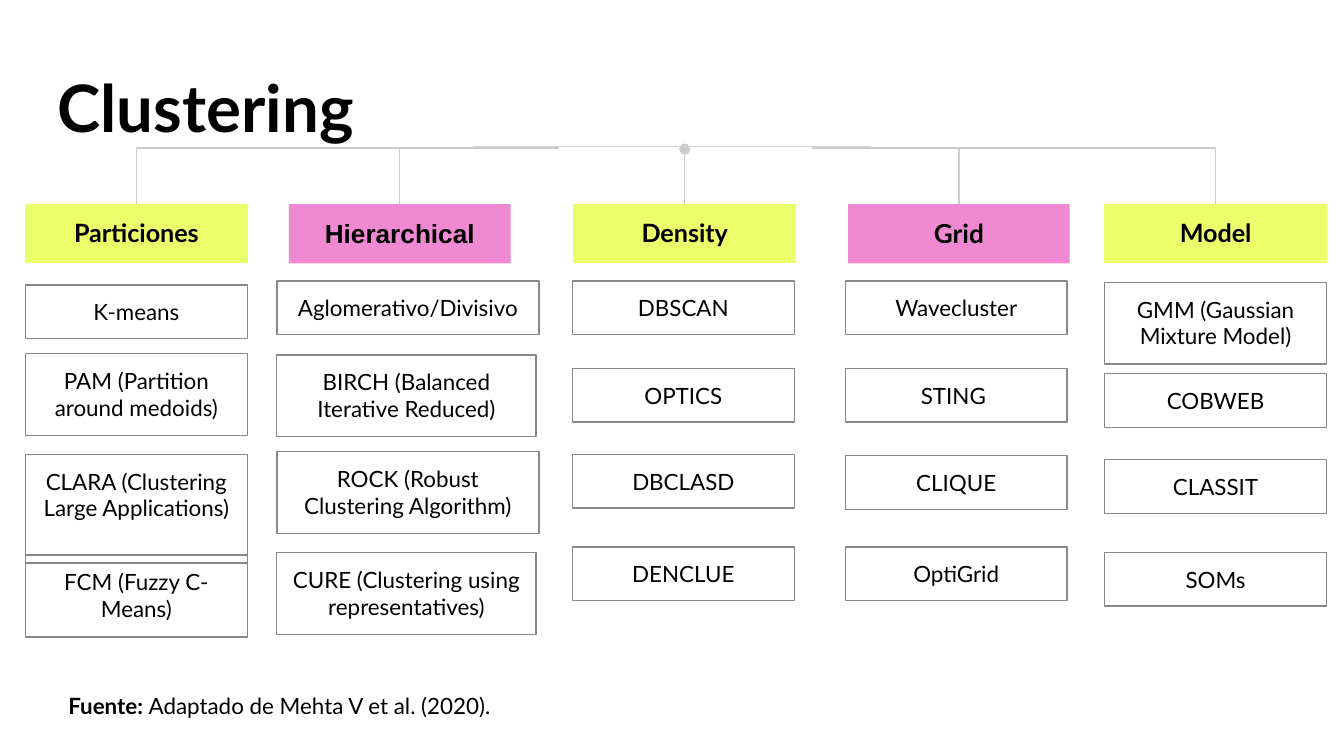
from lxml import etree
from pptx import Presentation
from pptx.dml.color import RGBColor
from pptx.enum.shapes import MSO_CONNECTOR, MSO_SHAPE
from pptx.enum.text import MSO_ANCHOR, MSO_AUTO_SIZE, PP_ALIGN
from pptx.oxml.ns import qn
from pptx.util import Inches, Pt

RECTANGLE = MSO_SHAPE.RECTANGLE
STRAIGHT, ELBOW = MSO_CONNECTOR.STRAIGHT, MSO_CONNECTOR.ELBOW
CENTER, LEFT = PP_ALIGN.CENTER, PP_ALIGN.LEFT
GROW, FIXED = MSO_AUTO_SIZE.SHAPE_TO_FIT_TEXT, MSO_AUTO_SIZE.NONE
TOP_SIDE = 0

GRID_CELL = Inches(0.1)
SLIDE_COLUMNS, SLIDE_ROWS = 100, 56.25
BOX_WIDTH, WIDE_BOX, WIDER_BOX = 16.5, 19.3, 19.5
ONE_LINE, TWO_LINES, THREE_LINES = 4, 6.1, 8.1
HEADER_ROW, DOT_ROW, RAIL_ROW, BAR_ROW = 15.2, 11.1, 11, 10.9
RAIL_START, RAIL_END = 41.6, 60.4

COLORS = {
    "text": "000000",
    "lime": "EAFF6A",
    "pink": "EF89D2",
    "border": "888888",
    "branch": "CCCCCC",
    "bar": "D4D4D4",
}
FRAME_FORMAT = {
    "word_wrap": True,
    "vertical_anchor": MSO_ANCHOR.TOP,
    "margin_left": GRID_CELL,
    "margin_right": GRID_CELL,
    "margin_top": GRID_CELL,
    "margin_bottom": GRID_CELL,
}
BODY_FONT = {"name": "Lato", "size": Pt(12), "bold": False}
BOLD_FONT = BODY_FONT | {"bold": True}
TITLE_FONT = BOLD_FONT | {"size": Pt(35)}
LIME_HEADER = {"height": 4.3, "fill": "lime", "line": "lime",
               "font": BOLD_FONT | {"size": Pt(13.5)}}
PINK_HEADER = {"height": 4.4, "fill": "pink", "line": None,
               "font": BOLD_FONT | {"size": Pt(14)}}
ARIAL_HEADER = PINK_HEADER | {"font": PINK_HEADER["font"] | {"name": "Arial"}}

FAMILIES = [
    ("Particiones", 1.9, LIME_HEADER, 1.9, [
        ("K-means", 21.2, BOX_WIDTH, ONE_LINE),
        ("PAM (Partition around medoids)", 26.3, BOX_WIDTH, TWO_LINES),
        ("CLARA (Clustering Large Applications)", 33.8, BOX_WIDTH, THREE_LINES),
        ("FCM (Fuzzy C-Means)", 41.3, BOX_WIDTH, TWO_LINES),
    ]),
    ("Hierarchical", 21.5, ARIAL_HEADER, 20.6, [
        ("Aglomerativo/Divisivo", 20.9, WIDER_BOX, ONE_LINE),
        ("BIRCH (Balanced Iterative Reduced)", 26.4, WIDE_BOX, TWO_LINES),
        ("ROCK (Robust Clustering Algorithm)", 33.6, WIDER_BOX, TWO_LINES),
        ("CURE (Clustering using representatives)", 41.1, WIDE_BOX, TWO_LINES),
    ]),
    ("Density", 42.7, LIME_HEADER, 42.6, [
        ("DBSCAN", 20.9, BOX_WIDTH, ONE_LINE),
        ("OPTICS", 27.4, BOX_WIDTH, ONE_LINE),
        ("DBCLASD", 33.8, BOX_WIDTH, ONE_LINE),
        ("DENCLUE", 40.7, BOX_WIDTH, ONE_LINE),
    ]),
    ("Grid", 63.1, PINK_HEADER, 62.9, [
        ("Wavecluster", 20.9, BOX_WIDTH, ONE_LINE),
        ("STING ", 27.4, BOX_WIDTH, ONE_LINE),
        ("CLIQUE", 33.9, BOX_WIDTH, ONE_LINE),
        ("OptiGrid", 40.7, BOX_WIDTH, ONE_LINE),
    ]),
    ("Model", 82.2, LIME_HEADER, 82.2, [
        ("GMM (Gaussian Mixture Model)", 21, BOX_WIDTH, TWO_LINES),
        ("COBWEB", 27.8, BOX_WIDTH, ONE_LINE),
        ("CLASSIT", 34.2, BOX_WIDTH, ONE_LINE),
        ("SOMs", 41.1, BOX_WIDTH, ONE_LINE),
    ]),
]


def cells(*counts):
    return [round(GRID_CELL * count) for count in counts]


def color(name):
    return RGBColor.from_string(COLORS[name])


def apply_format(target, values):
    for name, value in values.items():
        setattr(target, name, value)


def write_text(shape, runs, alignment=LEFT, line_spacing=1.0, auto_size=GROW):
    frame = shape.text_frame
    apply_format(frame, FRAME_FORMAT | {"auto_size": auto_size})
    paragraph = frame.paragraphs[0]
    apply_format(paragraph, {"alignment": alignment, "line_spacing": line_spacing})
    for text, font_format in runs:
        run = paragraph.add_run()
        run.text = text
        apply_format(run.font, font_format)
        run.font.color.rgb = color("text")


def add_text(slide, position, runs, **options):
    write_text(slide.shapes.add_textbox(*cells(*position)), runs, **options)


def add_box(slide, position, text, font, fill=None, line="border"):
    box = slide.shapes.add_shape(RECTANGLE, *cells(*position))
    box.shadow.inherit = False
    if fill:
        box.fill.solid()
        box.fill.fore_color.rgb = color(fill)
    else:
        box.fill.background()
    if line:
        box.line.color.rgb = color(line)
        box.line.width = Pt(0.75)
    else:
        box.line.fill.background()
    write_text(box, [(text, font)], alignment=CENTER)
    return box


def add_line(slide, start, end, line="branch", kind=STRAIGHT):
    connector = slide.shapes.add_connector(kind, *cells(*start, *end))
    connector.line.color.rgb = color(line)
    connector.line.width = Pt(0.75)
    etree.SubElement(connector._element.spPr, qn("a:effectLst"))
    return connector


def add_branch(slide, header, center):
    target = (center, HEADER_ROW)
    if RAIL_START < center < RAIL_END:
        stem = add_line(slide, target, (center, DOT_ROW))
        stem.begin_connect(header, TOP_SIDE)
        etree.SubElement(stem.line._get_or_add_ln(), qn("a:tailEnd"), type="oval")
    else:
        rail_column = RAIL_START if center < RAIL_START else RAIL_END
        branch = add_line(slide, (rail_column, RAIL_ROW), target, kind=ELBOW)
        geometry = branch._element.spPr.find(qn("a:prstGeom"))
        geometry.set("prst", "bentConnector2")


def add_family(slide, title, header_left, header, items_left, items):
    position = (header_left, HEADER_ROW, BOX_WIDTH, header["height"])
    header_box = add_box(slide, position, title, header["font"],
                         header["fill"], header["line"])
    for text, top, width, height in items:
        add_box(slide, (items_left, top, width, height), text, BODY_FONT)
    add_branch(slide, header_box, header_left + BOX_WIDTH / 2)


def main():
    presentation = Presentation()
    presentation.slide_width, presentation.slide_height = cells(SLIDE_COLUMNS, SLIDE_ROWS)
    slide = presentation.slides.add_slide(presentation.slide_layouts[6])
    add_text(slide, (4.1, 50.5, 72.2, 4),
             [("Fuente: ", BOLD_FONT), ("Adaptado de Mehta V et al. (2020).", BODY_FONT)])
    for family in FAMILIES:
        add_family(slide, *family)
    add_line(slide, (35.2, BAR_ROW), (64.8, BAR_ROW), "bar")
    add_text(slide, (3.3, 3.1, 85.8, 7.6), [("Clustering", TITLE_FONT)],
             line_spacing=1.15, auto_size=FIXED)
    presentation.save("out.pptx")


if __name__ == "__main__":
    main()
